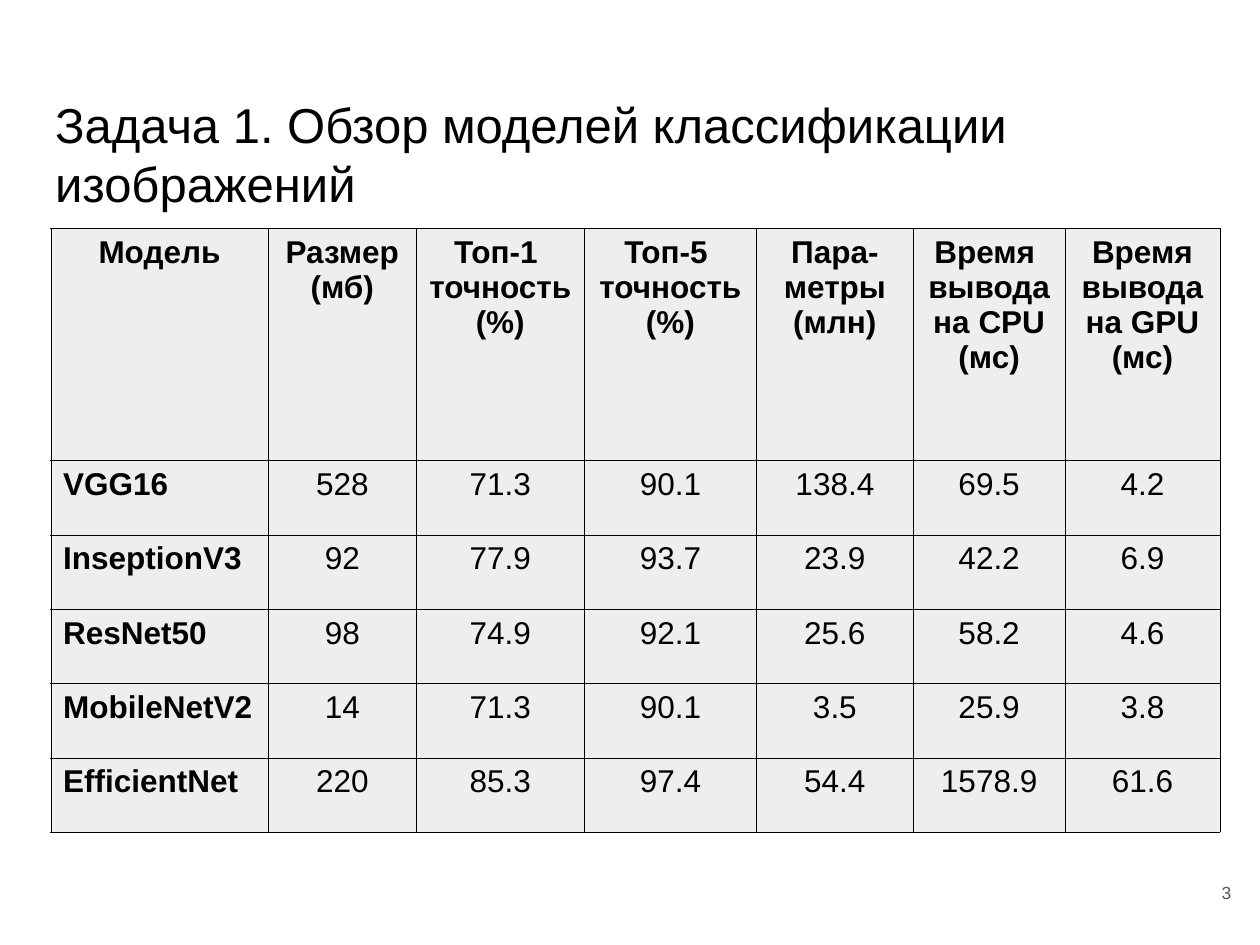
from lxml import etree
from pptx import Presentation
from pptx import util as u
from pptx.dml.color import RGBColor
from pptx.enum import text
from pptx.oxml import ns


def style(p, size, color, align, bold=False):
    p.alignment = align
    p.font.name, p.font.size, p.font.bold = "Arial", u.Pt(size), bold
    p.font.color.rgb = RGBColor.from_string(color)


def add_borders(cell, color, width):
    tc_pr = cell._tc.get_or_add_tcPr()
    for i, side in enumerate(("a:lnL", "a:lnR", "a:lnT", "a:lnB")):
        ln = etree.Element(ns.qn(side), w=str(u.Pt(width)))
        fill = etree.SubElement(ln, ns.qn("a:solidFill"))
        etree.SubElement(fill, ns.qn("a:srgbClr"), val=color)
        tc_pr.insert(i, ln)


LEFT, CENTER, RIGHT = text.PP_ALIGN.LEFT, text.PP_ALIGN.CENTER, text.PP_ALIGN.RIGHT

prs = Presentation()
prs.slide_width, prs.slide_height = u.Cm(25.4), u.Cm(19.05)
s = prs.slides.add_slide(prs.slide_layouts[5])

# Title and page number
title = s.shapes.title
title.left, title.top, title.width, title.height = u.Cm(0.86), u.Cm(1.65), u.Cm(23.67), u.Cm(2.11)
number = s.shapes.add_textbox(u.Cm(23.55), u.Cm(17.27), u.Cm(1.52), u.Cm(1.45))
for sp, words, size, color, align, anchor in (
    (title, "Задача 1. Обзор моделей классификации изображений", 28, "000000", LEFT, text.MSO_ANCHOR.TOP),
    (number, "3", 10, "595959", RIGHT, text.MSO_ANCHOR.MIDDLE),
):
    tf = sp.text_frame
    tf.text = words
    tf.word_wrap, tf.auto_size, tf.vertical_anchor = True, text.MSO_AUTO_SIZE.NONE, anchor
    tf.margin_left = tf.margin_right = tf.margin_top = tf.margin_bottom = u.Cm(0.25)
    style(tf.paragraphs[0], size, color, align)

# Model comparison table
rows = [
    ["Модель", "Размер\n(мб)", "Топ-1 \nточность\n(%)", "Топ-5 \nточность\n(%)", "Пара-метры\n(млн)",
     "Время \nвывода на CPU\n(мс)", "Время\nвывода на GPU\n(мс)"],
    ["VGG16", "528", "71.3", "90.1", "138.4", "69.5", "4.2"],
    ["InseptionV3", "92", "77.9", "93.7", "23.9", "42.2", "6.9"],
    ["ResNet50", "98", "74.9", "92.1", "25.6", "58.2", "4.6"],
    ["MobileNetV2", "14", "71.3", "90.1", "3.5", "25.9", "3.8"],
    ["EfficientNet", "220", "85.3", "97.4", "54.4", "1578.9", "61.6"],
]
col_widths = [4.39, 2.98, 3.39, 3.47, 3.16, 3.06, 3.12]
row_heights = [4.68] + [1.5] * 5
table = s.shapes.add_table(len(rows), len(col_widths), u.Cm(1.02), u.Cm(4.6),
                           u.Cm(sum(col_widths)), u.Cm(sum(row_heights))).table
for col, width in zip(table.columns, col_widths):
    col.width = u.Cm(width)
for row, height in zip(table.rows, row_heights):
    row.height = u.Cm(height)

for r, values in enumerate(rows):
    for c, value in enumerate(values):
        cell = table.cell(r, c)
        cell.text = value
        cell.fill.solid()
        cell.fill.fore_color.rgb = RGBColor.from_string("EEEEEE")
        add_borders(cell, "000000", 0.06)
        for p in cell.text_frame.paragraphs:
            style(p, 18, "000000", LEFT if r and c == 0 else CENTER, bold=r == 0 or c == 0)

prs.save("out.pptx")
